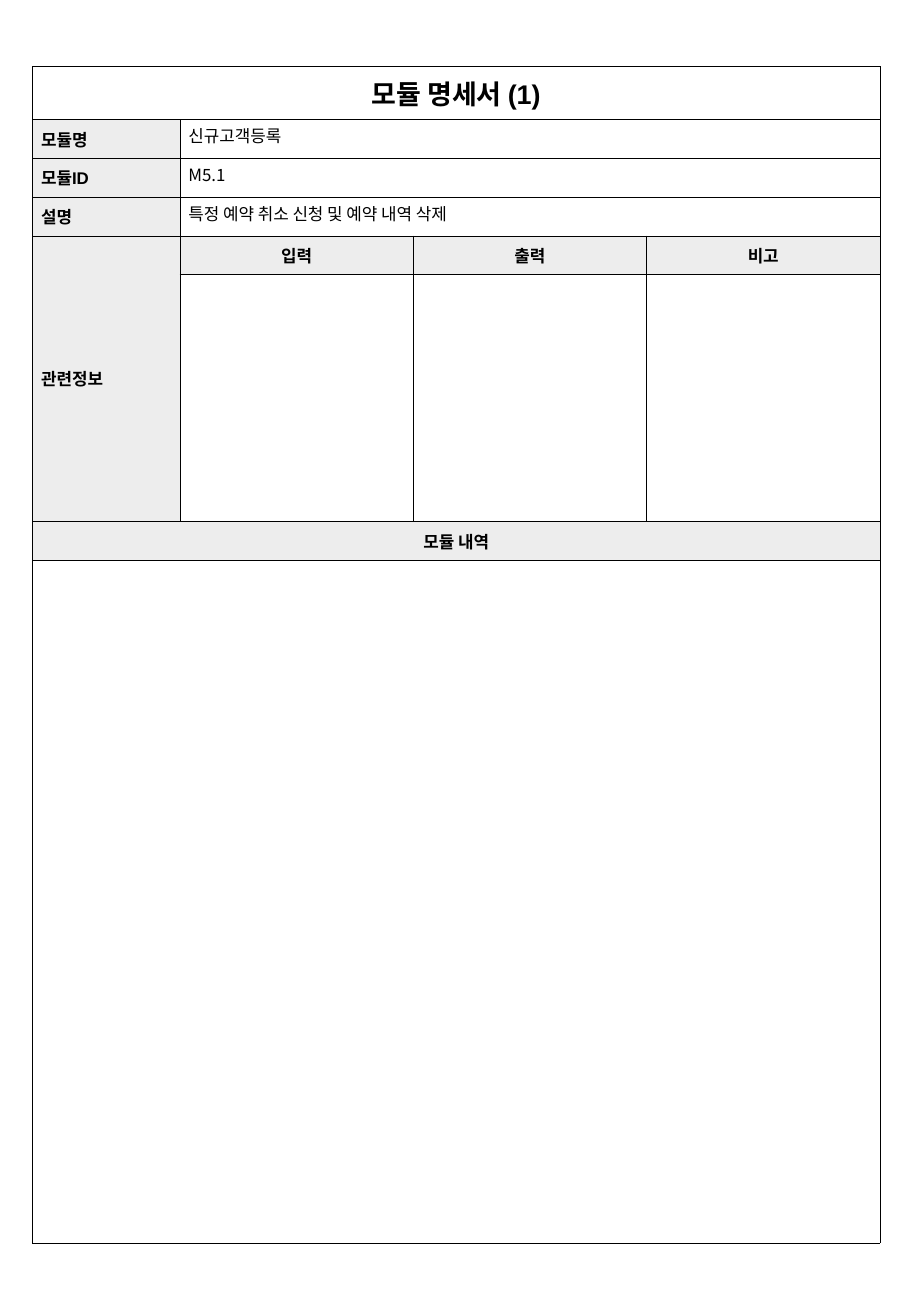
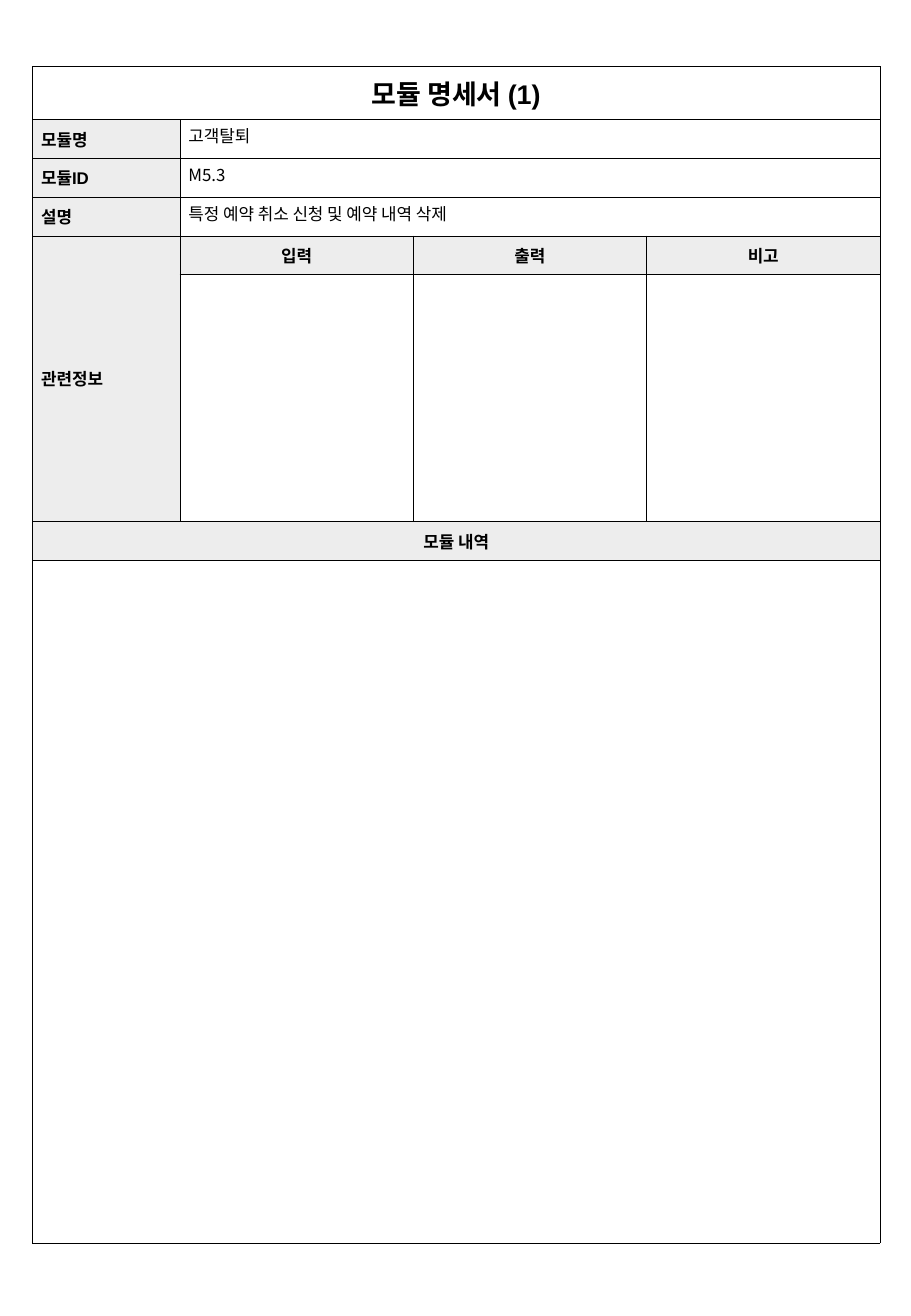
"""Builds two module specification sheets, each one a bordered table."""
from lxml.etree import SubElement
from pptx import Presentation
from pptx.dml.color import RGBColor
from pptx.enum.text import MSO_ANCHOR, PP_ALIGN
from pptx.oxml.ns import qn
from pptx.util import Cm, Pt

BLACK, WHITE, GREY = "000000", "FFFFFF", "EDEDED"
KOREAN = "Noto Sans CJK KR"
LEFT, TOP = 0.68, 1.39
COLUMNS = [3.08, 4.88, 4.88, 4.88]
ROWS = [1.11, 0.81, 0.81, 0.81, 0.81, 5.16, 0.81, 14.28]
MARGINS = {"margin_left": Cm(0.18), "margin_right": Cm(0.18),
           "margin_top": Cm(0.08), "margin_bottom": Cm(0.08)}
MERGES = [((0, 0), (0, 3)), ((1, 1), (1, 3)), ((2, 1), (2, 3)), ((3, 1), (3, 3)),
          ((4, 0), (5, 0)), ((6, 0), (6, 3)), ((7, 0), (7, 3))]
STYLES = {
    "title": {"name": "Arial", "size": Pt(16), "bold": True},
    "label": {"name": "Arial", "size": Pt(10), "bold": True},
    "value": {"name": KOREAN, "size": Pt(10), "bold": False},
}
LABELS = {
    (0, 0): ("모듈 명세서 (1)", "title", PP_ALIGN.CENTER),
    (1, 0): ("모듈명", "label", PP_ALIGN.LEFT),
    (2, 0): ("모듈ID", "label", PP_ALIGN.LEFT),
    (3, 0): ("설명", "label", PP_ALIGN.LEFT),
    (4, 0): ("관련정보", "label", PP_ALIGN.LEFT),
    (4, 1): ("입력", "label", PP_ALIGN.CENTER),
    (4, 2): ("출력", "label", PP_ALIGN.CENTER),
    (4, 3): ("비고", "label", PP_ALIGN.CENTER),
    (6, 0): ("모듈 내역", "label", PP_ALIGN.CENTER),
}
MODULES = [
    ("신규고객등록", "M5.1", "특정 예약 취소 신청 및 예약 내역 삭제"),
    ("고객탈퇴", "M5.3", "특정 예약 취소 신청 및 예약 내역 삭제"),
]


def color(value):
    return RGBColor.from_string(value)


def format_cell(cell, fill):
    properties = cell._tc.get_or_add_tcPr()
    for side in ("a:lnL", "a:lnR", "a:lnT", "a:lnB"):
        line = SubElement(properties, qn(side), w=str(Pt(0.25)))
        SubElement(SubElement(line, qn("a:solidFill")), qn("a:srgbClr"), val=BLACK)
    cell.fill.solid()
    cell.fill.fore_color.rgb = color(fill)
    for name, value in MARGINS.items():
        setattr(cell, name, value)


deck = Presentation()
deck.slide_width, deck.slide_height = Cm(19.05), Cm(27.51)

for module in MODULES:
    page = deck.slides.add_slide(deck.slide_layouts[6])
    table = page.shapes.add_table(len(ROWS), len(COLUMNS), Cm(LEFT), Cm(TOP),
                                  Cm(sum(COLUMNS)), Cm(sum(ROWS))).table
    table.first_row = table.horz_banding = False
    for column, width in zip(table.columns, COLUMNS):
        column.width = Cm(width)
    for row, height in zip(table.rows, ROWS):
        row.height = Cm(height)

    for row in range(len(ROWS)):
        for column in range(len(COLUMNS)):
            shaded = row in (4, 6) or (column == 0 and 1 <= row <= 5)
            format_cell(table.cell(row, column), GREY if shaded else WHITE)
    for first, last in MERGES:
        table.cell(*first).merge(table.cell(*last))

    values = {(row, 1): (text, "value", PP_ALIGN.LEFT)
              for row, text in enumerate(module, start=1)}
    for position, (text, style, alignment) in (LABELS | values).items():
        cell = table.cell(*position)
        cell.vertical_anchor = MSO_ANCHOR.TOP if style == "value" else MSO_ANCHOR.MIDDLE
        para = cell.text_frame.paragraphs[0]
        para.alignment = alignment
        span = para.add_run()
        span.text = text
        for name, value in STYLES[style].items():
            setattr(span.font, name, value)
        span.font.color.rgb = color(BLACK)
        SubElement(span._r.get_or_add_rPr(), qn("a:ea"), typeface=KOREAN)

deck.save("out.pptx")
